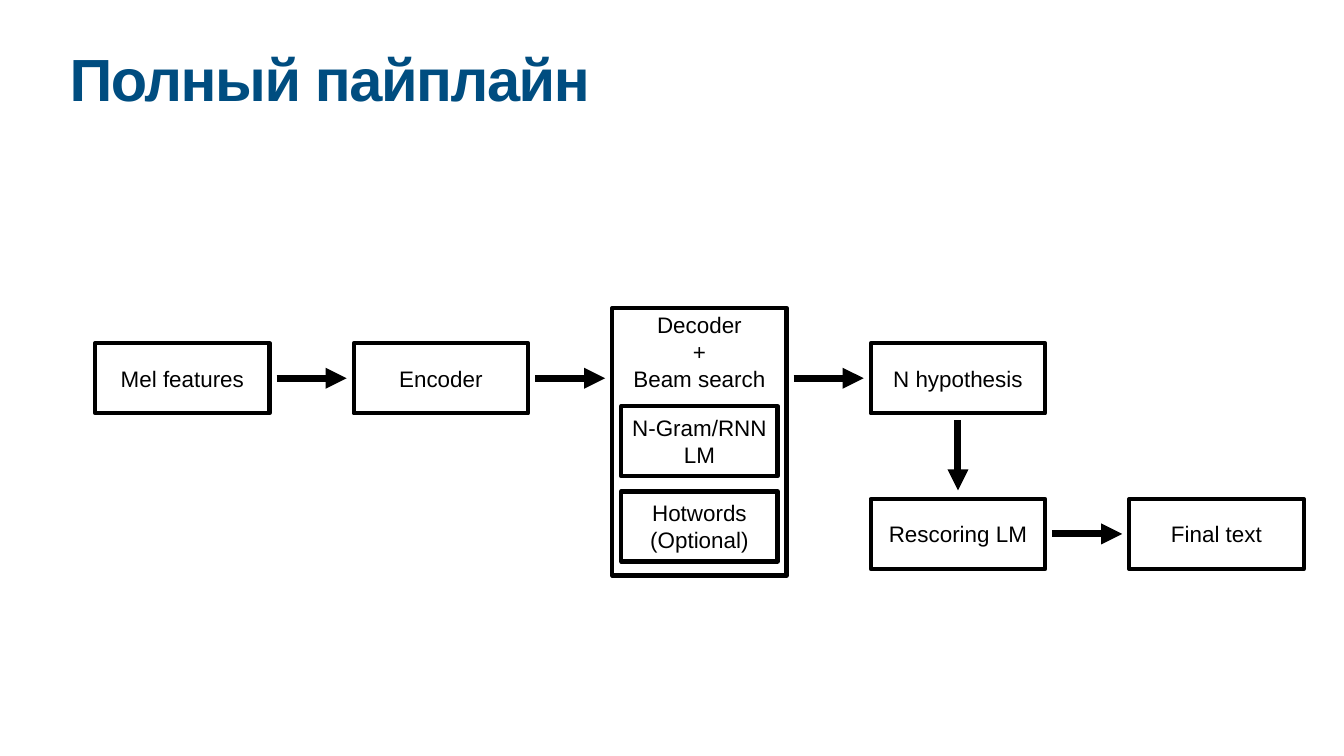
"""Builds the speech recognition pipeline slide."""
from lxml import etree
from pptx import Presentation
from pptx import util as u
from pptx.dml.color import RGBColor
from pptx.enum import shapes, text
from pptx.oxml.ns import qn

BLACK = RGBColor(0, 0, 0)
WHITE = RGBColor(255, 255, 255)
NAVY = RGBColor(0x00, 0x4D, 0x80)

LEFT, PITCH = 1.89, 5.13
WIDTH, HEIGHT = 3.46, 1.39
ROWS = (6.81, 9.9)
GAP, REACH = 0.14, 1.39
PAD = 0.06

STEPS = (
    ("Mel features", 0, 0),
    ("Encoder", 1, 0),
    ("N hypothesis", 3, 0),
    ("Rescoring LM", 3, 1),
    ("Final text", 4, 1),
)
PARTS = (("N-Gram/RNN LM", 8.06), ("Hotwords\n(Optional)", 9.75))
LINKS = ((0, 0), (1, 0), (2, 0), (3, 1))


def col_x(col):
    """Return the left edge of a column."""
    return LEFT + PITCH * col


def put_text(shape, words, align, anchor, style):
    """Write formatted words into a shape."""
    frame = shape.text_frame
    setup = dict(word_wrap=True, auto_size=text.MSO_AUTO_SIZE.NONE,
                 vertical_anchor=anchor)
    setup.update((f"margin_{side}", u.Inches(PAD))
                 for side in ("left", "top", "right", "bottom"))
    for key, value in setup.items():
        setattr(frame, key, value)
    para = frame.paragraphs[0]
    para.text = words
    para.alignment = align
    for run in para.runs:
        run.font.color.rgb = style["color"]
        for key, value in style["font"].items():
            setattr(run.font, key, value)
    return para


def add_title(slide, words):
    """Fill and place the title."""
    title = slide.shapes.title
    place = dict(left=1.32, top=1.04, width=24.03, height=1.57)
    for key, value in place.items():
        setattr(title, key, u.Inches(value))
    style = dict(color=NAVY, font=dict(name="Arial", size=u.Pt(85), bold=True))
    para = put_text(title, words, text.PP_ALIGN.LEFT, text.MSO_ANCHOR.TOP, style)
    para.line_spacing = 0.8
    para.runs[0].font._element.set("spc", "-200")


def add_box(slide, words, x, y, width=WIDTH, height=HEIGHT,
            anchor=text.MSO_ANCHOR.MIDDLE):
    """Draw an outlined box with centred words."""
    box = slide.shapes.add_shape(shapes.MSO_SHAPE.RECTANGLE,
                                 *map(u.Inches, (x, y, width, height)))
    box.shadow.inherit = False
    box.fill.solid()
    box.fill.fore_color.rgb = WHITE
    box.line.color.rgb = BLACK
    box.line.width = u.Pt(6)
    style = dict(color=BLACK, font=dict(name="Arial", size=u.Pt(32)))
    put_text(box, words, text.PP_ALIGN.CENTER, anchor, style)


def add_arrow(slide, x, y, dx=0, dy=0):
    """Draw a thick arrow from a point."""
    line = slide.shapes.add_connector(shapes.MSO_CONNECTOR.STRAIGHT,
                                      *map(u.Inches, (x, y, x + dx, y + dy)))
    line.line.color.rgb = BLACK
    line.line.width = u.Pt(10)
    etree.SubElement(line.line._get_or_add_ln(), qn("a:tailEnd"), type="triangle")
    etree.SubElement(line._element.spPr, qn("a:effectLst"))


def main():
    """Build and save the slide."""
    deck = Presentation()
    deck.slide_width, deck.slide_height = u.Inches(26.67), u.Inches(15)
    slide = deck.slides.add_slide(deck.slide_layouts[5])
    add_title(slide, "Полный пайплайн")
    for words, col, row in STEPS:
        add_box(slide, words, col_x(col), ROWS[row])
    add_box(slide, "Decoder\n+\nBeam search", col_x(2), 6.11, height=5.31,
            anchor=text.MSO_ANCHOR.TOP)
    for words, y in PARTS:
        add_box(slide, words, col_x(2) + 0.18, y, width=3.1)
    for col, row in LINKS:
        add_arrow(slide, col_x(col) + WIDTH + GAP, ROWS[row] + HEIGHT / 2, dx=REACH)
    add_arrow(slide, col_x(3) + WIDTH / 2, ROWS[0] + HEIGHT + GAP, dy=REACH)
    deck.save("out.pptx")


if __name__ == "__main__":
    main()
